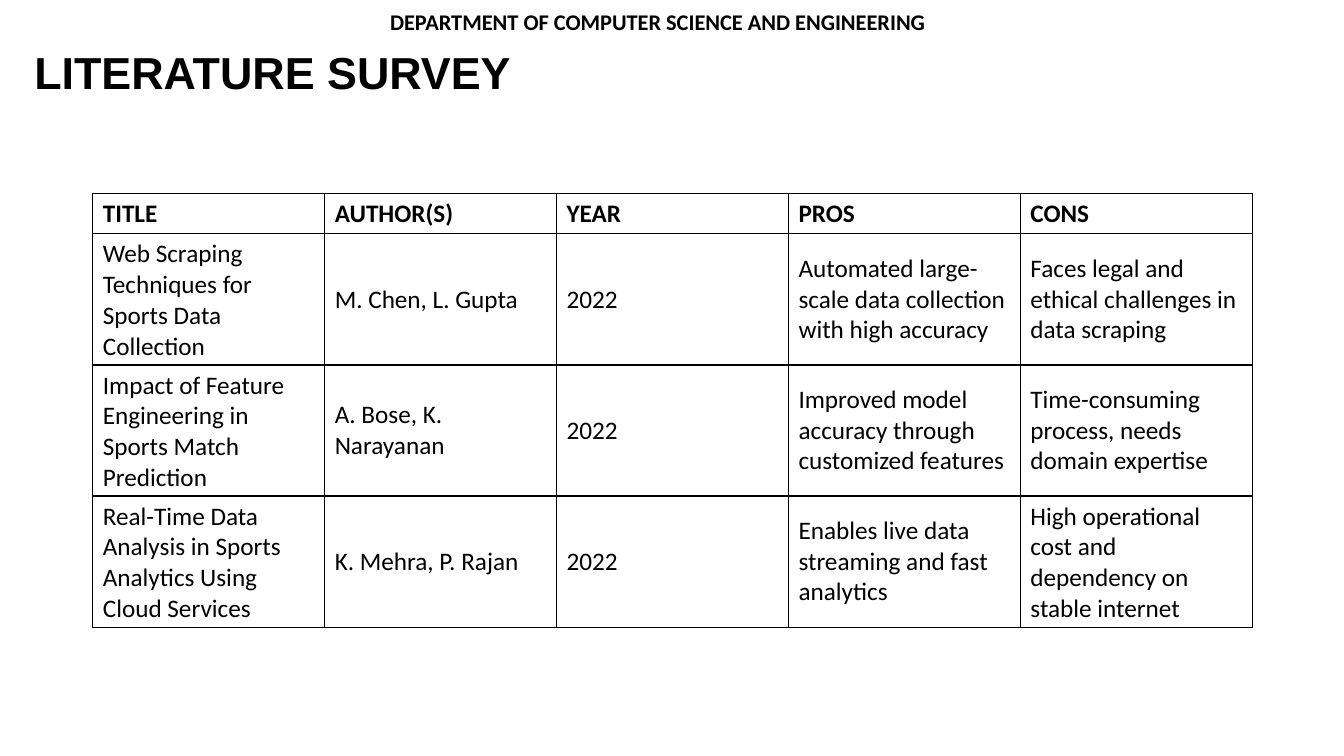
from pptx import Presentation
from pptx.dml.color import RGBColor
from pptx.enum.text import MSO_ANCHOR as Anchor, MSO_AUTO_SIZE as AutoSize, PP_ALIGN as Align
from pptx.oxml import parse_xml
from pptx.oxml.ns import nsdecls
from pptx.util import Inches, Pt

DEPARTMENT = "DEPARTMENT OF COMPUTER SCIENCE AND ENGINEERING"
TITLE = "LITERATURE SURVEY"
SURVEY = [
    ("TITLE", "AUTHOR(S)", "YEAR", "PROS", "CONS"),
    ("Web Scraping Techniques for Sports Data Collection", "M. Chen, L. Gupta", "2022",
     "Automated large-scale data collection with high accuracy",
     "Faces legal and ethical challenges in data scraping"),
    ("Impact of Feature Engineering in Sports Match Prediction", "A. Bose, K. Narayanan", "2022",
     "Improved model accuracy through customized features",
     "Time-consuming process, needs domain expertise"),
    ("Real-Time Data Analysis in Sports Analytics Using Cloud Services", "K. Mehra, P. Rajan", "2022",
     "Enables live data streaming and fast analytics",
     "High operational cost and dependency on stable internet"),
]

BLACK = "000000"
THEME = {
    "department": {"name": "Calibri", "size": Pt(16), "bold": True},
    "title": {"name": "Arial", "size": Pt(32), "bold": True},
    "header": {"name": "Calibri", "size": Pt(18), "bold": True},
    "body": {"name": "Calibri", "size": Pt(18), "bold": False},
}
BORDER_WIDTH = Pt(1)
COLUMN_WIDTH = Inches(2.3)
HEADER_HEIGHT, BODY_HEIGHT = Inches(0.4), Inches(1.3)


def box(left, top, width, height):
    return [Inches(value) for value in (left, top, width, height)]


def write(text_frame, text, style):
    text_frame.text = text
    paragraph = text_frame.paragraphs[0]
    paragraph.alignment = Align.LEFT
    font = paragraph.runs[0].font
    for name, value in THEME[style].items():
        setattr(font, name, value)
    font.color.rgb = RGBColor.from_string(BLACK)
    return paragraph


def add_borders(cell):
    properties = cell._tc.get_or_add_tcPr()
    for position, side in enumerate(("lnL", "lnR", "lnT", "lnB")):
        properties.insert(position, parse_xml(
            f'<a:{side} {nsdecls("a")} w="{BORDER_WIDTH}"><a:solidFill>'
            f'<a:srgbClr val="{BLACK}"/></a:solidFill></a:{side}>'))


def add_department(slide):
    text_frame = slide.shapes.add_textbox(*box(3.77, 0.03, 6.51, 0.37)).text_frame
    text_frame.word_wrap = True
    text_frame.auto_size = AutoSize.SHAPE_TO_FIT_TEXT
    write(text_frame, DEPARTMENT, "department")


def add_title(slide):
    title = slide.shapes.title
    title.left, title.top, title.width, title.height = box(0.24, 0.33, 9.21, 0.83)
    title.text_frame.vertical_anchor = Anchor.MIDDLE
    write(title.text_frame, TITLE, "title").line_spacing = 0.9


def add_survey(slide):
    rows, columns = len(SURVEY), len(SURVEY[0])
    height = HEADER_HEIGHT + BODY_HEIGHT * (rows - 1)
    table = slide.shapes.add_table(
        rows, columns, Inches(0.92), Inches(1.92), COLUMN_WIDTH * columns, height).table
    table.first_row = table.horz_banding = False
    for column in table.columns:
        column.width = COLUMN_WIDTH
    for index, (row, texts) in enumerate(zip(table.rows, SURVEY)):
        row.height = BODY_HEIGHT if index else HEADER_HEIGHT
        for cell, text in zip(row.cells, texts):
            cell.vertical_anchor = Anchor.MIDDLE
            cell.fill.background()
            add_borders(cell)
            write(cell.text_frame, text, "body" if index else "header")


def main():
    presentation = Presentation()
    presentation.slide_width, presentation.slide_height = Inches(13.33), Inches(7.5)
    slide = presentation.slides.add_slide(presentation.slide_layouts[5])
    add_department(slide)
    add_title(slide)
    add_survey(slide)
    presentation.save("out.pptx")


if __name__ == "__main__":
    main()
